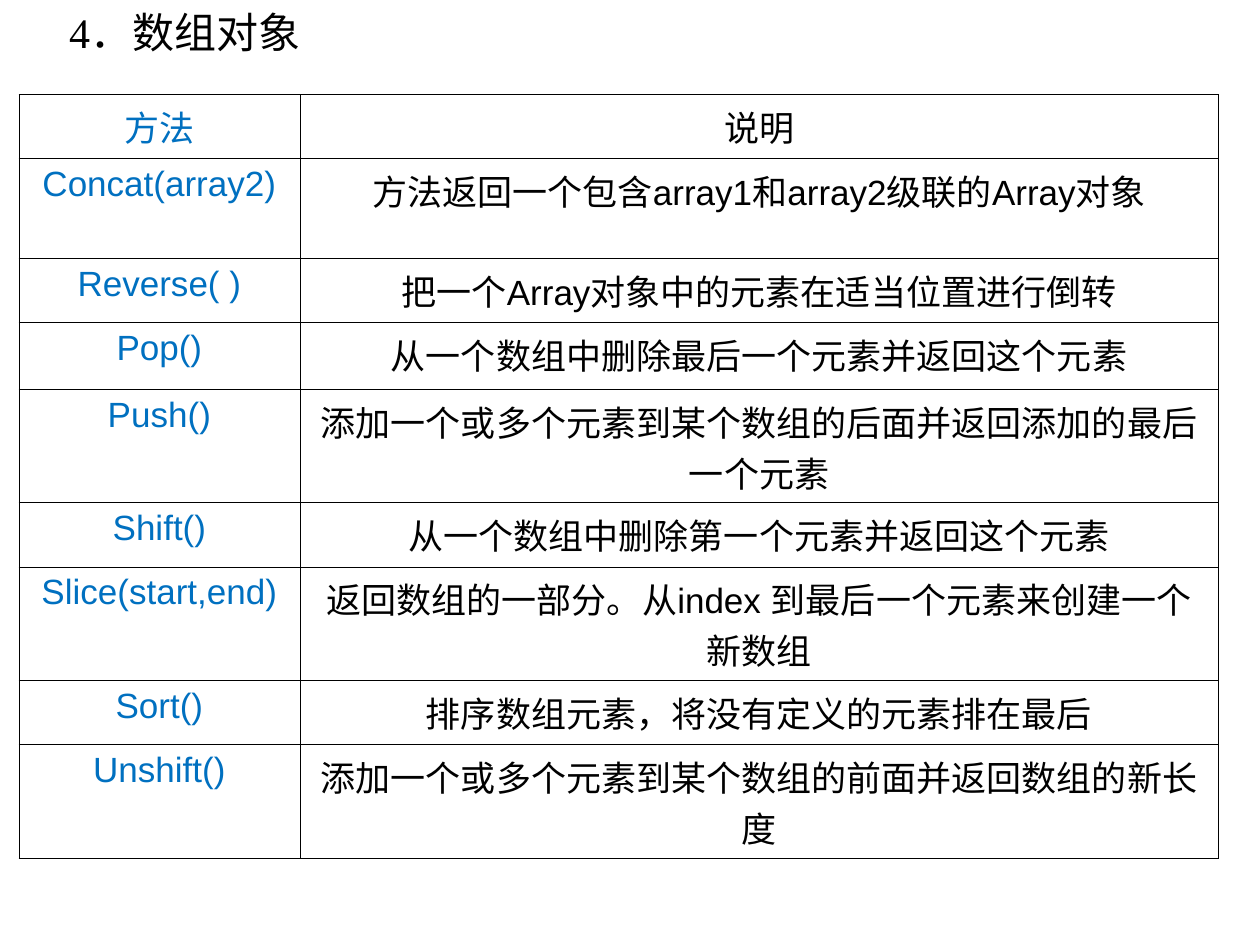
from lxml import etree
from pptx import Presentation
from pptx.dml.color import RGBColor
from pptx.enum import text
from pptx.oxml import ns
from pptx.util import Inches, Pt


def color(value):
    return RGBColor.from_string(value)


def write(paragraph, words, align, size, font, ink):
    paragraph.text = words
    paragraph.alignment = align
    for name, value in {"size": Pt(size), "name": font, "bold": False}.items():
        setattr(paragraph.font, name, value)
    paragraph.font.color.rgb = color(ink)


methods = [
    ("方法", "说明", 0.51),
    ("Concat(array2)", "方法返回一个包含array1和array2级联的Array对象", 0.79),
    ("Reverse( )", "把一个Array对象中的元素在适当位置进行倒转", 0.51),
    ("Pop()", "从一个数组中删除最后一个元素并返回这个元素", 0.53),
    ("Push()", "添加一个或多个元素到某个数组的后面并返回添加的最后一个元素", 0.9),
    ("Shift()", "从一个数组中删除第一个元素并返回这个元素", 0.51),
    ("Slice(start,end)", "返回数组的一部分。从index 到最后一个元素来创建一个新数组", 0.9),
    ("Sort()", "排序数组元素，将没有定义的元素排在最后", 0.51),
    ("Unshift()", "添加一个或多个元素到某个数组的前面并返回数组的新长度", 0.9),
]

deck = Presentation()
deck.slide_width, deck.slide_height = Inches(10), Inches(7.5)
slide = deck.slides.add_slide(deck.slide_layouts[6])

heading = slide.shapes.add_textbox(Inches(0.45), 0, Inches(4.25), Inches(0.5)).text_frame
heading.word_wrap = True
write(heading.paragraphs[0], "4．数组对象", text.PP_ALIGN.JUSTIFY, 24, "Times New Roman", "000000")

table_height = sum(height for *_, height in methods)
table = slide.shapes.add_table(
    len(methods), 2, Inches(0.15), Inches(0.75), Inches(9.52), Inches(table_height)
).table
for flag in ("first_row", "horz_banding"):
    setattr(table, flag, False)
for column, width in zip(table.columns, (2.23, 7.29)):
    column.width = Inches(width)

for row, (method, description, height) in zip(table.rows, methods):
    row.height = Inches(height)
    font = "Roboto" if method == "方法" else "Arial"
    for cell, words, ink in zip(row.cells, (method, description), ("0070C0", "000000")):
        write(cell.text_frame.paragraphs[0], words, text.PP_ALIGN.CENTER, 20, font, ink)
        properties = cell._tc.get_or_add_tcPr()
        for side in ("a:lnL", "a:lnR", "a:lnT", "a:lnB"):
            border = etree.SubElement(properties, ns.qn(side), w=str(Pt(0.45)))
            border_fill = etree.SubElement(border, ns.qn("a:solidFill"))
            etree.SubElement(border_fill, ns.qn("a:srgbClr"), val="000000")
        cell.fill.background()

deck.save("out.pptx")
